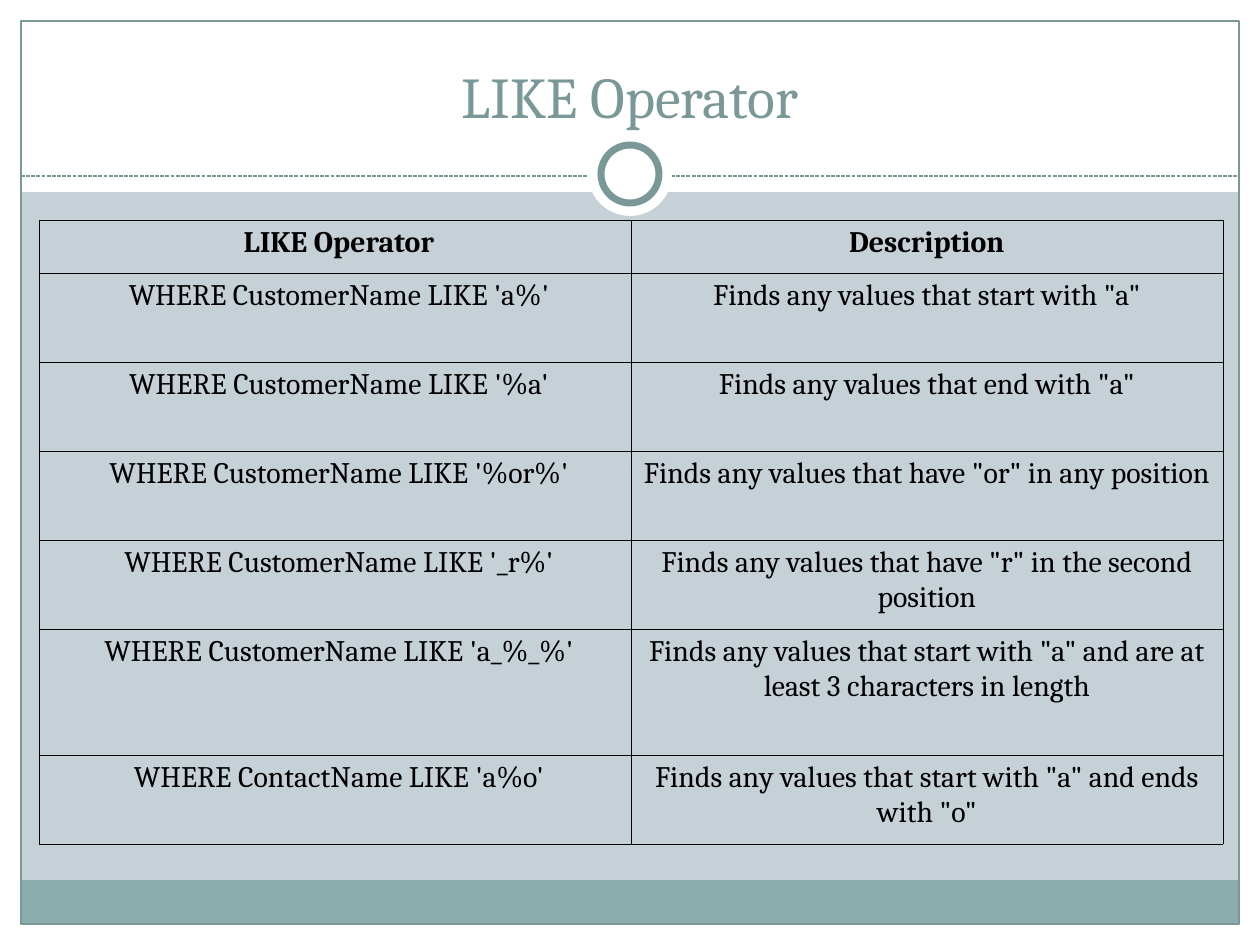
import pptx
import pptx.dml.color
import pptx.enum.dml
import pptx.enum.shapes
import pptx.enum.text
import pptx.oxml
import pptx.oxml.ns
import pptx.util

EMU_PER_PX = 914400 / 126
WIDTH, HEIGHT = 1260, 945
FONT = "Cambria"
WHITE, BLACK = "FFFFFF", "000000"
TEAL, BAND, BACKGROUND = "7B9899", "8CADAE", "C5D1D7"
RECTANGLE = pptx.enum.shapes.MSO_SHAPE.RECTANGLE
OVAL = pptx.enum.shapes.MSO_SHAPE.OVAL
CENTER = pptx.enum.text.PP_ALIGN.CENTER


def px(length):
    return pptx.util.Emu(round(length * EMU_PER_PX))


def color(value):
    return pptx.dml.color.RGBColor.from_string(value)


class SlideBuilder:
    def __init__(self, slide):
        self.slide = slide
        slide.background.fill.solid()
        slide.background.fill.fore_color.rgb = color(BACKGROUND)

    def shape(self, kind, left, top, width, height, fill=None, line=None, weight=0.75):
        shape = self.slide.shapes.add_shape(kind, px(left), px(top), px(width), px(height))
        shape.shadow.inherit = False
        if fill:
            shape.fill.solid()
            shape.fill.fore_color.rgb = color(fill)
        else:
            shape.fill.background()
        if line:
            shape.line.color.rgb = color(line)
            shape.line.width = pptx.util.Pt(weight)
        else:
            shape.line.fill.background()

    def dashed_line(self, x1, x2, y):
        connector = self.slide.shapes.add_connector(
            pptx.enum.shapes.MSO_CONNECTOR.STRAIGHT, px(x1), px(y), px(x2), px(y))
        connector.line.color.rgb = color(TEAL)
        connector.line.width = pptx.util.Pt(0.75)
        connector.line.dash_style = pptx.enum.dml.MSO_LINE.SQUARE_DOT
        properties = connector._element.spPr
        properties.append(pptx.oxml.parse_xml(
            f'<a:effectLst {pptx.oxml.ns.nsdecls("a")}/>'))

    def add_text(self, frame, text, size, text_color, bold=False):
        paragraph = frame.paragraphs[0]
        paragraph.alignment = CENTER
        run = paragraph.add_run()
        run.text = text
        run.font.name = FONT
        run.font.size = pptx.util.Pt(size)
        run.font.bold = bold
        run.font.color.rgb = color(text_color)

    def title(self, text, left, top, width, height):
        box = self.slide.shapes.add_textbox(px(left), px(top), px(width), px(height))
        box.text_frame.word_wrap = True
        box.text_frame.vertical_anchor = pptx.enum.text.MSO_ANCHOR.BOTTOM
        self.add_text(box.text_frame, text, 33, TEAL)

    def border(self, cell):
        properties = cell._tc.get_or_add_tcPr()
        for position, side in enumerate(("lnL", "lnR", "lnT", "lnB")):
            properties.insert(position, pptx.oxml.parse_xml(
                f'<a:{side} {pptx.oxml.ns.nsdecls("a")} w="{pptx.util.Pt(0.45)}">'
                f'<a:solidFill><a:srgbClr val="{BLACK}"/></a:solidFill></a:{side}>'))

    def table(self, rows, left, top, column_width, row_heights):
        columns = len(rows[0])
        table = self.slide.shapes.add_table(
            len(rows), columns, px(left), px(top),
            px(column_width * columns), px(sum(row_heights))).table
        table.horz_banding = False
        for column in table.columns:
            column.width = px(column_width)
        for row_index, texts in enumerate(rows):
            table.rows[row_index].height = px(row_heights[row_index])
            for column_index, text in enumerate(texts):
                cell = table.cell(row_index, column_index)
                cell.fill.background()
                cell.margin_left = px(8 if column_index else 16)
                cell.margin_right = px(8)
                cell.margin_top = cell.margin_bottom = px(6)
                self.add_text(cell.text_frame, text, 17, BLACK, bold=row_index == 0)
                self.border(cell)


def main():
    presentation = pptx.Presentation()
    presentation.slide_width, presentation.slide_height = px(WIDTH), px(HEIGHT)
    builder = SlideBuilder(presentation.slides.add_slide(presentation.slide_layouts[6]))

    # White margins and header
    margin = 21
    inner_width, inner_height = WIDTH - 2 * margin, HEIGHT - 2 * margin
    builder.shape(RECTANGLE, 0, HEIGHT - margin, WIDTH, margin, WHITE)
    builder.shape(RECTANGLE, 0, 0, WIDTH, 192, WHITE)
    for left in (0, WIDTH - margin):
        builder.shape(RECTANGLE, left, 0, margin, HEIGHT, WHITE)

    # Footer band, frame and divider
    builder.shape(RECTANGLE, margin, 880, inner_width, 43, BAND)
    builder.shape(RECTANGLE, margin, margin, inner_width, inner_height, line=TEAL)
    builder.dashed_line(margin, WIDTH - margin, 176)

    # Ring on the divider
    for diameter, line in ((84, None), (58, TEAL)):
        builder.shape(OVAL, (WIDTH - diameter) // 2, 174 - diameter // 2,
                      diameter, diameter, WHITE, line, weight=4)

    # Title
    builder.title("LIKE Operator", 42, 32, 1176, 104)

    # Operator table
    rows = [
        ("LIKE Operator", "Description"),
        ("WHERE CustomerName LIKE 'a%'", 'Finds any values that start with "a"'),
        ("WHERE CustomerName LIKE '%a'", 'Finds any values that end with "a"'),
        ("WHERE CustomerName LIKE '%or%'",
         'Finds any values that have "or" in any position'),
        ("WHERE CustomerName LIKE '_r%'",
         'Finds any values that have "r" in the second position'),
        ("WHERE CustomerName LIKE 'a_%_%'",
         'Finds any values that start with "a" and are at least 3 characters in length'),
        ("WHERE ContactName LIKE 'a%o'",
         'Finds any values that start with "a" and ends with "o"'),
    ]
    builder.table(rows, 39, 220, 592, [53] + [89] * 4 + [126, 89])

    presentation.save("out.pptx")


if __name__ == "__main__":
    main()
